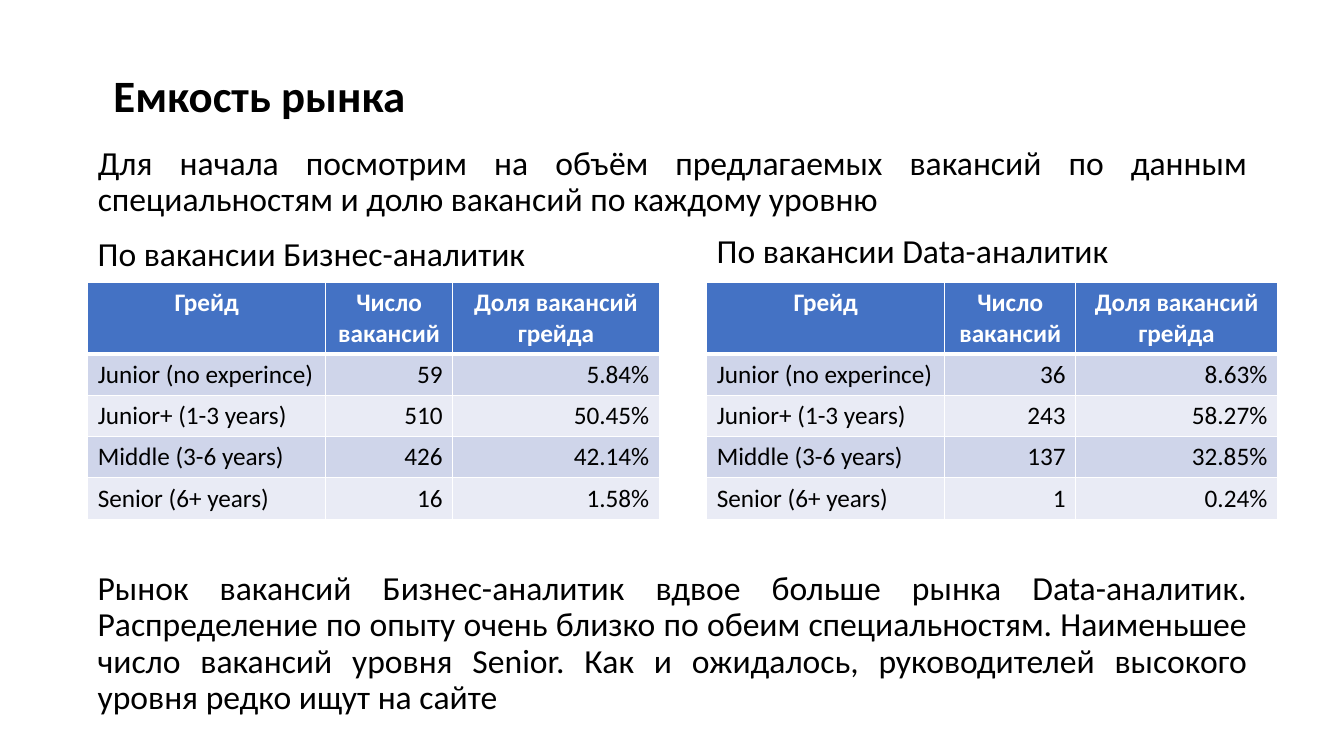
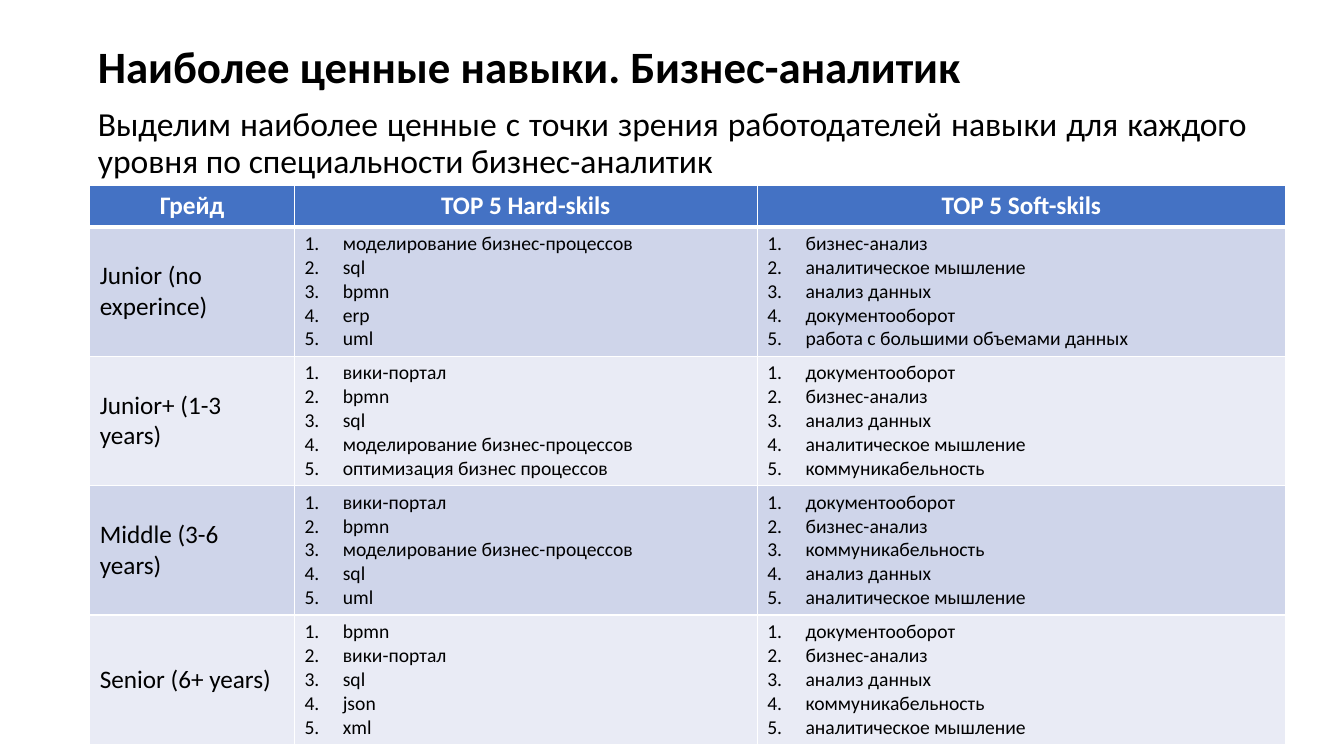
from lxml.etree import SubElement
from pptx import Presentation
from pptx.dml.color import RGBColor
from pptx.enum.text import MSO_ANCHOR, MSO_AUTO_SIZE, PP_ALIGN
from pptx.oxml.ns import qn
from pptx.util import Inches, Pt

FONT = "Calibri"
BLACK = RGBColor(0x00, 0x00, 0x00)
WHITE = RGBColor(0xFF, 0xFF, 0xFF)
HEADER_BLUE = RGBColor(0x44, 0x72, 0xC4)
BANDS = (RGBColor(0xCF, 0xD5, 0xEA), RGBColor(0xE9, 0xEB, 0xF5))

LEFT, RIGHT_COLUMN = 0.87, 7.01
TEXT_WIDTH, CAPTION_WIDTH = 11.6, 4.92
TITLE_HEIGHT, ROW_HEIGHT = 0.6, 0.41
LINE_HEIGHT, PADDING = 0.37, 0.1
LIST_INDENT = 0.38

GRADES = ["Junior (no experince)", "Junior+ (1-3 years)", "Middle (3-6 years)", "Senior (6+ years)"]

MARKET = {
    "title": "Емкость рынка",
    "intro": "Для начала посмотрим на объём предлагаемых вакансий по данным "
             "специальностям и долю вакансий по каждому уровню",
    "header": ["Грейд", "Число вакансий", "Доля вакансий грейда"],
    "tables": [
        {"caption": "По вакансии Бизнес-аналитик", "left": LEFT, "bottom": 2.76,
         "columns": [2.36, 1.26, 2.05],
         "counts": ["59", "510", "426", "16"],
         "shares": ["5.84%", "50.45%", "42.14%", "1.58%"]},
        {"caption": "По вакансии Data-аналитик", "left": RIGHT_COLUMN, "bottom": 2.74,
         "columns": [2.36, 1.3, 2.0],
         "counts": ["36", "243", "137", "1"],
         "shares": ["8.63%", "58.27%", "32.85%", "0.24%"]},
    ],
    "conclusion": "Рынок вакансий Бизнес-аналитик вдвое больше рынка Data-аналитик. "
                  "Распределение по опыту очень близко по обеим специальностям. "
                  "Наименьшее число вакансий уровня Senior. Как и ожидалось, "
                  "руководителей высокого уровня редко ищут на сайте",
}

SKILLS = {
    "title": "Наиболее ценные навыки. Бизнес-аналитик",
    "intro": "Выделим наиболее ценные с точки зрения работодателей навыки для каждого "
             "уровня по специальности бизнес-аналитик",
    "header": ["Грейд", "TOP 5 Hard-skils", "TOP 5 Soft-skils"],
    "columns": [2.03, 4.59, 5.24],
    "hard": [
        ["моделирование бизнес-процессов", "sql", "bpmn", "erp", "uml"],
        ["вики-портал", "bpmn", "sql", "моделирование бизнес-процессов",
         "оптимизация бизнес процессов"],
        ["вики-портал", "bpmn", "моделирование бизнес-процессов", "sql", "uml"],
        ["bpmn", "вики-портал", "sql", "json", "xml"],
    ],
    "soft": [
        ["бизнес-анализ", "аналитическое мышление", "анализ данных", "документооборот",
         "работа с большими объемами данных"],
        ["документооборот", "бизнес-анализ", "анализ данных", "аналитическое мышление",
         "коммуникабельность"],
        ["документооборот", "бизнес-анализ", "коммуникабельность", "анализ данных",
         "аналитическое мышление"],
        ["документооборот", "бизнес-анализ", "анализ данных", "коммуникабельность",
         "аналитическое мышление"],
    ],
}


def write(tf, texts, size=24, color=BLACK, bold=False, align=PP_ALIGN.LEFT, spacing=1.0,
          numbered=False):
    for i, text in enumerate([texts] if isinstance(texts, str) else texts):
        p = tf.paragraphs[0] if i == 0 else tf.add_paragraph()
        pPr = p._p.get_or_add_pPr()
        indent = Inches(LIST_INDENT) if numbered else 0
        pPr.set("marL", str(indent))
        pPr.set("indent", str(-indent))
        if numbered:
            SubElement(pPr, qn("a:buFont"), typeface="+mj-lt")
            SubElement(pPr, qn("a:buAutoNum"), type="arabicPeriod")
        else:
            SubElement(pPr, qn("a:buNone"))
        p.alignment, p.line_spacing, p.space_before = align, spacing, Pt(0)
        r = p.add_run()
        r.text = text
        r.font.name, r.font.size, r.font.bold = FONT, Pt(size), bold
        r.font.color.rgb = color


def place(sp, left, top, width, height, anchor):
    sp.left, sp.top, sp.width, sp.height = map(Inches, (left, top, width, height))
    tf = sp.text_frame
    tf.word_wrap, tf.auto_size, tf.vertical_anchor = True, MSO_AUTO_SIZE.NONE, anchor
    return tf


def add_text(sp, text, bottom, left=LEFT, width=TEXT_WIDTH, lines=1):
    height = lines * LINE_HEIGHT + PADDING
    tf = place(sp, left, bottom - height, width, height, MSO_ANCHOR.BOTTOM)
    write(tf, text, align=PP_ALIGN.JUSTIFY, spacing=0.9)


def new_slide(prs, content, title_box, intro_bottom, **title_format):
    s = prs.slides.add_slide(prs.slide_layouts[1])
    write(place(s.shapes.title, *title_box, TITLE_HEIGHT, MSO_ANCHOR.TOP),
          content["title"], size=32, bold=True, **title_format)
    add_text(s.placeholders[1], content["intro"], intro_bottom, lines=2)
    return s


def set_borders(cell, top, bottom):
    for side, width in (("L", 1), ("R", 1), ("T", top), ("B", bottom)):
        ln = SubElement(cell._tc.get_or_add_tcPr(), qn(f"a:ln{side}"), w=str(Pt(width)))
        SubElement(SubElement(ln, qn("a:solidFill")), qn("a:srgbClr"), val=str(WHITE))


def add_grid(s, rows, left, top, columns, heights):
    grid = s.shapes.add_table(len(rows), len(columns), Inches(left), Inches(top),
                              Inches(sum(columns)), Inches(sum(heights))).table
    for column, width in zip(grid.columns, columns):
        column.width = Inches(width)
    for i, (row, height) in enumerate(zip(rows, heights)):
        grid.rows[i].height = Inches(height)
        for j, content in enumerate(row):
            cell = grid.cell(i, j)
            set_borders(cell, 3 if i == 1 else 1, 3 if i == 0 else 1)
            cell.fill.solid()
            cell.fill.fore_color.rgb = BANDS[(i - 1) % 2] if i else HEADER_BLUE
            if i == 0:
                write(cell.text_frame, content, size=18, color=WHITE, bold=True,
                      align=PP_ALIGN.CENTER)
            elif isinstance(content, list):
                write(cell.text_frame, content, size=14, numbered=True)
            else:
                cell.vertical_anchor = MSO_ANCHOR.MIDDLE
                write(cell.text_frame, content, size=18,
                      align=PP_ALIGN.RIGHT if j else PP_ALIGN.LEFT)


def market_slide(prs):
    s = new_slide(prs, MARKET, (LEFT, 0.72, 3.41), 2.22, align=PP_ALIGN.CENTER, spacing=0.8)
    for t in MARKET["tables"]:
        add_text(s.shapes.add_textbox(0, 0, 0, 0), t["caption"], t["bottom"],
                 left=t["left"], width=CAPTION_WIDTH)
        rows = [MARKET["header"], *zip(GRADES, t["counts"], t["shares"])]
        add_grid(s, rows, t["left"], 2.8, t["columns"], [0.7] + [ROW_HEIGHT] * len(GRADES))
    add_text(s.shapes.add_textbox(0, 0, 0, 0), MARKET["conclusion"], 7.16, lines=4)


def skills_slide(prs):
    s = new_slide(prs, SKILLS, (LEFT, 0.39, 11.86), 1.84, spacing=0.9)
    rows = [SKILLS["header"], *zip(GRADES, SKILLS["hard"], SKILLS["soft"])]
    add_grid(s, rows, 0.89, 1.84, SKILLS["columns"], [ROW_HEIGHT] + [1.28] * len(GRADES))


def main():
    prs = Presentation()
    prs.slide_width, prs.slide_height = Inches(13.33), Inches(7.5)
    market_slide(prs)
    skills_slide(prs)
    prs.save("out.pptx")


if __name__ == "__main__":
    main()
